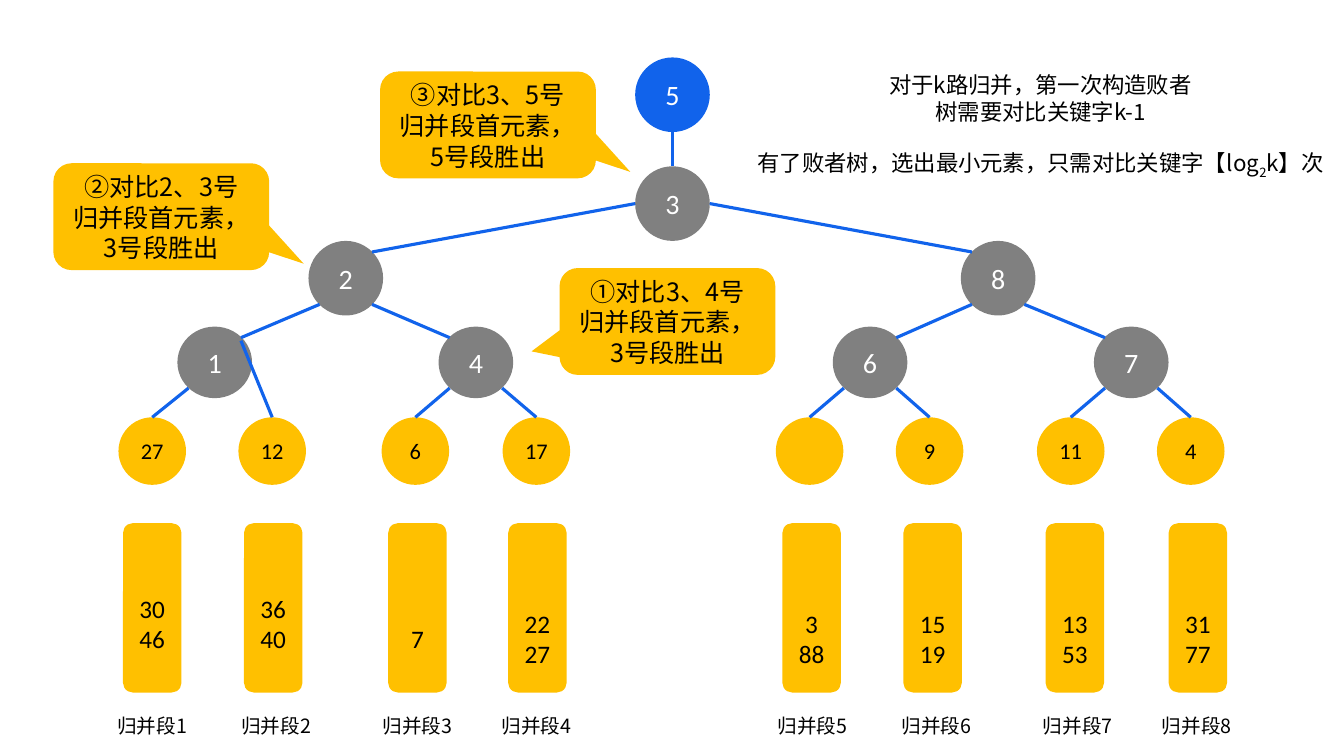
from lxml import etree
from pptx import Presentation
from pptx.dml.color import RGBColor
from pptx.enum import shapes, text
from pptx.oxml.ns import qn
from pptx.util import Inches, Pt

BLUE = RGBColor(0x11, 0x63, 0xEB)
GRAY = RGBColor(0x80, 0x80, 0x80)
GOLD = RGBColor(0xFF, 0xC0, 0x00)
BLACK = RGBColor(0, 0, 0)
WHITE = RGBColor(0xFF, 0xFF, 0xFF)
LATIN, CJK = "Calibri", "Noto Sans CJK SC"

NODE, LEAF = 0.74, 0.67
DIAGONAL = 0.26  # offset of the 45-degree point on a node's rim
LEAF_TOP = 4.14
LINE_HEIGHT = 1.22

# number: (centre x, top, height, fill)
NODES = {
    "5": (6.67, 0.57, NODE, BLUE),
    "3": (6.67, 1.65, NODE, GRAY),
    "2": (3.43, 2.39, NODE, GRAY),
    "8": (9.9, 2.39, NODE, GRAY),
    "1": (2.13, 3.24, 0.71, GRAY),
    "4": (4.72, 3.24, 0.71, GRAY),
    "6": (8.63, 3.24, 0.71, GRAY),
    "7": (11.22, 3.24, 0.71, GRAY),
}
BRANCHES = [("2", "1", "4"), ("8", "6", "7")]
# parent, centres of both leaves, keys
LEAVES = [
    ("1", (1.51, 2.7), ("27", "12")),
    ("4", (4.12, 5.32), ("6", "17")),
    ("6", (8.03, 9.22), ("", "9")),
    ("7", (10.62, 11.81), ("11", "4")),
]
# segment left, label left, lines left free above, remaining keys
SEGMENTS = [
    (1.22, 1.06, 1, ["30", "46"]),
    (2.42, 2.29, 1, ["36", "40"]),
    (3.85, 3.69, 2, ["7"]),
    (5.04, 4.87, 2, ["22", "27"]),
    (7.76, 7.61, 2, ["3", "88"]),
    (8.96, 8.84, 2, ["15", "19"]),
    (10.37, 10.24, 2, ["13", "53"]),
    (11.59, 11.42, 2, ["31", "77"]),
]
RIGHT_TAIL, LEFT_TAIL = (0.66, 0.44, 0.17), (-0.63, 0.28, 0.17)
CALLOUTS = [
    (3.77, 0.71, RIGHT_TAIL, "③对比3、5号", "5号段胜出"),
    (0.53, 1.62, RIGHT_TAIL, "②对比2、3号", "3号段胜出"),
    (5.55, 2.66, LEFT_TAIL, "①对比3、4号", "3号段胜出"),
]


def add_run(p, words, size, font, color):
    r = p.add_run()
    r.text = words
    for name, value in {"size": Pt(size), "name": font, "bold": False}.items():
        setattr(r.font, name, value)
    r.font.color.rgb = color
    etree.SubElement(r._r.get_or_add_rPr(), qn("a:ea"), typeface=CJK)
    return r


def write(sp, lines, size, font=LATIN, color=BLACK):
    """Write centred lines and return their paragraphs."""
    tf = sp.text_frame
    tf.word_wrap = True
    paragraphs = []
    for i, line in enumerate(lines):
        p = tf.add_paragraph() if i else tf.paragraphs[0]
        p.alignment = text.PP_ALIGN.CENTER
        if font == CJK:
            p.line_spacing = Pt(round(size * LINE_HEIGHT, 1))
        add_run(p, line, size, font, color)
        paragraphs.append(p)
    return paragraphs


def add_filled(s, kind, box, fill):
    sp = s.shapes.add_shape(kind, *map(Inches, box))
    sp.shadow.inherit = False
    sp.fill.solid()
    sp.fill.fore_color.rgb = fill
    sp.line.fill.background()
    sp.text_frame.vertical_anchor = text.MSO_ANCHOR.MIDDLE
    return sp


def add_circle(s, label, cx, top, width, height, fill, size, color):
    box = (cx - width / 2, top, width, height)
    sp = add_filled(s, shapes.MSO_SHAPE.OVAL, box, fill)
    if label:
        write(sp, [label], size, color=color)


def add_edge(s, x1, y1, x2, y2):
    line = s.shapes.add_connector(shapes.MSO_CONNECTOR.STRAIGHT,
                                  *map(Inches, (x1, y1, x2, y2)))
    line.line.color.rgb = BLUE
    line.line.width = Pt(2.25)
    etree.SubElement(line._element.spPr, qn("a:effectLst"))


def add_tree(s):
    for label, (cx, top, height, fill) in NODES.items():
        add_circle(s, label, cx, top, NODE, height, fill, 20, WHITE)

    cx, top = NODES["3"][:2]
    add_edge(s, cx, NODES["5"][1] + NODE, cx, top)
    for side, (parent, *children) in zip((-1, 1), BRANCHES):
        px, ptop = NODES[parent][:2]
        middle = ptop + NODE / 2
        add_edge(s, cx + side * NODE / 2, top + NODE / 2,
                 px - side * DIAGONAL, middle - DIAGONAL)
        for way, child in zip((-1, 1), children):
            add_edge(s, px + way * DIAGONAL, middle + DIAGONAL,
                     NODES[child][0] - way * DIAGONAL, 3.35)

    for parent, centres, keys in LEAVES:
        for way, x, key in zip((-1, 1), centres, keys):
            add_circle(s, key, x, LEAF_TOP, LEAF, LEAF, GOLD, 16, BLACK)
            start = 3.38 if key == "12" else 3.85
            add_edge(s, NODES[parent][0] + way * DIAGONAL, start, x, LEAF_TOP)


def add_textbox(s, box):
    return s.shapes.add_textbox(*map(Inches, box))


def add_segment(s, number, left, label_left, free_lines, keys):
    sp = add_filled(s, shapes.MSO_SHAPE.ROUNDED_RECTANGLE,
                    (left, 5.19, 0.58, 1.68), GOLD)
    sp.text_frame.margin_top = Inches(0.05) + Pt(18 * LINE_HEIGHT * free_lines)
    write(sp, keys, 18)
    write(add_textbox(s, (label_left, 7.03, 0.9, 0.34)),
          [f"归并段{number}"], 14, CJK)


def add_callout(s, left, top, tail, first, last):
    sp = add_filled(s, shapes.MSO_SHAPE.ROUNDED_RECTANGULAR_CALLOUT,
                    (left, top, 2.14, 1.06), GOLD)
    for i, value in enumerate(tail):
        sp.adjustments[i] = value
    write(sp, [first, "归并段首元素，", last], 18, CJK)


def add_summary(s):
    p = write(add_textbox(s, (7.4, 0.65, 5.84, 1.18)),
              ["对于k路归并，第一次构造败者", "树需要对比关键字k-1",
               "有了败者树，选出最小元素，只需对比关键字【log"], 16, CJK)[-1]
    p.space_before = Pt(19.5)
    r = add_run(p, "2", 16, CJK, BLACK)
    r._r.get_or_add_rPr().set("baseline", "-25000")
    add_run(p, "k】次", 16, CJK, BLACK)


def main():
    prs = Presentation()
    prs.slide_width, prs.slide_height = Inches(13.33), Inches(7.5)
    s = prs.slides.add_slide(prs.slide_layouts[6])
    add_tree(s)
    for number, segment in enumerate(SEGMENTS, 1):
        add_segment(s, number, *segment)
    for callout in CALLOUTS:
        add_callout(s, *callout)
    add_summary(s)
    prs.save("out.pptx")


if __name__ == "__main__":
    main()
